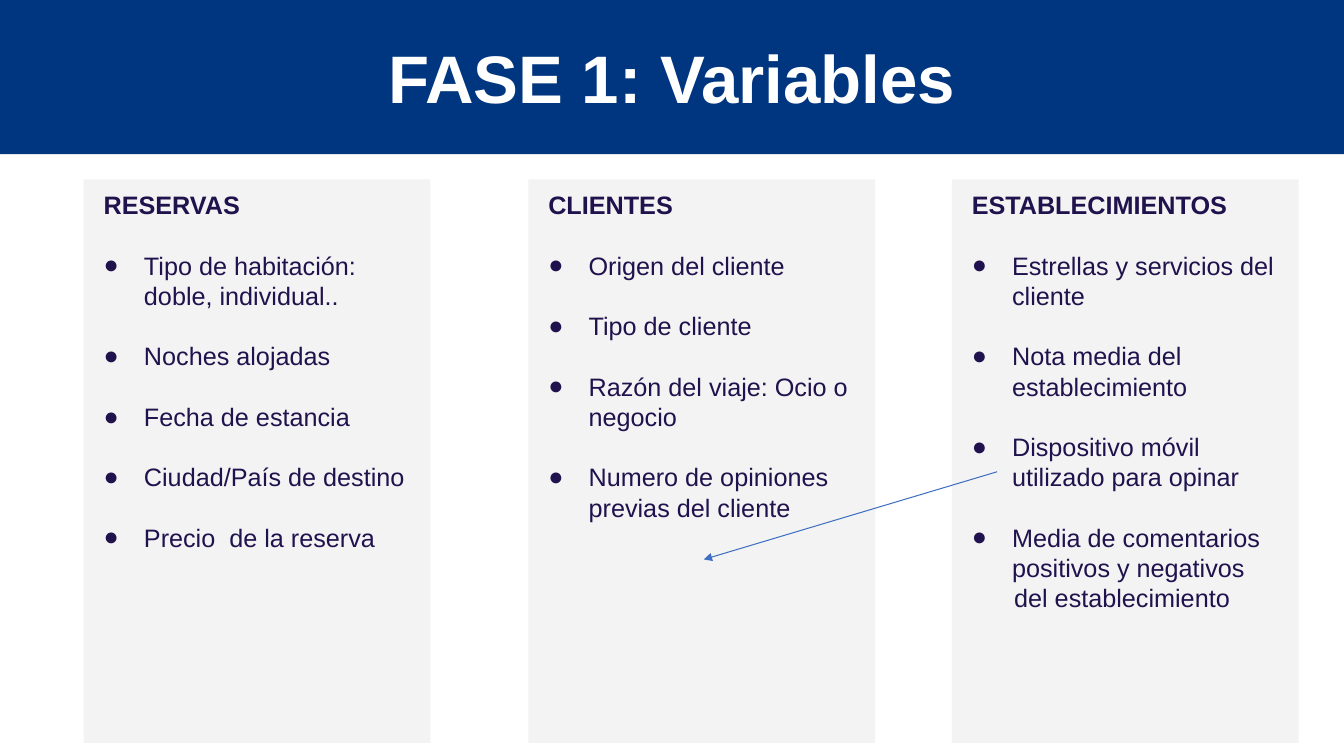
import pptx
import pptx.dml.color
import pptx.enum.shapes
import pptx.enum.text
import pptx.oxml.ns
import pptx.util
from lxml import etree

Inches = pptx.util.Inches
Pt = pptx.util.Pt
qn = pptx.oxml.ns.qn

COLORS = {"banner": "003580", "panel": "F3F3F3", "text": "20124D", "title": "FFFFFF", "arrow": "3F6FC3"}
LINE_HEIGHT = Pt(21.6)
PANEL_TOP, PANEL_WIDTH, PANEL_HEIGHT = Inches(1.78), Inches(3.44), Inches(5.59)
MARGINS = ("margin_left", "margin_top", "margin_right", "margin_bottom")

PANELS = [
    (0.83, "RESERVAS", [
        "Tipo de habitación: doble, individual..",
        "Noches alojadas",
        "Fecha de estancia",
        "Ciudad/País de destino",
        "Precio  de la reserva",
    ], None),
    (5.24, "CLIENTES", [
        "Origen del cliente",
        "Tipo de cliente",
        "Razón del viaje: Ocio o negocio",
        "Numero de opiniones previas del cliente",
    ], None),
    (9.44, "ESTABLECIMIENTOS", [
        "Estrellas y servicios del cliente",
        "Nota media del establecimiento",
        "Dispositivo móvil utilizado para opinar",
        "Media de comentarios positivos y negativos",
    ], "del establecimiento"),
]

STYLES = {
    "heading": {"left": 0.1, "indent": 0, "bold": True, "before": 0},
    "bullet": {"left": 0.5, "indent": -0.4, "bold": False, "before": LINE_HEIGHT},
    "continuation": {"left": 0.52, "indent": 0, "bold": False, "before": 0},
}


def rgb(name):
    return pptx.dml.color.RGBColor.from_string(COLORS[name])


def write_paragraph(paragraph, text, style_name):
    style = STYLES[style_name]
    properties = paragraph._p.get_or_add_pPr()
    properties.set("marL", str(Inches(style["left"])))
    properties.set("indent", str(Inches(style["indent"])))
    if style_name == "bullet":
        bullet_color = etree.SubElement(properties, qn("a:buClr"))
        etree.SubElement(bullet_color, qn("a:srgbClr"), val=COLORS["text"])
        etree.SubElement(properties, qn("a:buFont"), typeface="Arial")
        etree.SubElement(properties, qn("a:buChar"), char="●")
    paragraph.text = text
    layout = {
        "alignment": pptx.enum.text.PP_ALIGN.LEFT,
        "line_spacing": LINE_HEIGHT,
        "space_before": style["before"],
    }
    for name, value in layout.items():
        setattr(paragraph, name, value)
    for name, value in {"name": "Arial", "size": Pt(18), "bold": style["bold"]}.items():
        setattr(paragraph.font, name, value)
    paragraph.font.color.rgb = rgb("text")


presentation = pptx.Presentation()
presentation.slide_width = Inches(13.33)
presentation.slide_height = Inches(7.5)
slide = presentation.slides.add_slide(presentation.slide_layouts[5])

title = slide.shapes.title
banner_box = {"left": 0, "top": 0, "width": presentation.slide_width, "height": Inches(1.53)}
for name, value in banner_box.items():
    setattr(title, name, value)
title.fill.solid()
title.fill.fore_color.rgb = rgb("banner")
title.text_frame.text = "FASE 1: Variables"
title_frame = {
    "auto_size": pptx.enum.text.MSO_AUTO_SIZE.NONE,
    "vertical_anchor": pptx.enum.text.MSO_ANCHOR.MIDDLE,
    "word_wrap": True,
}
for name, value in title_frame.items():
    setattr(title.text_frame, name, value)
title_paragraph = title.text_frame.paragraphs[0]
title_paragraph.alignment = pptx.enum.text.PP_ALIGN.CENTER
for name, value in {"name": "Arial", "size": Pt(48), "bold": True}.items():
    setattr(title_paragraph.font, name, value)
title_paragraph.font.color.rgb = rgb("title")

for left, heading, variables, continuation in PANELS:
    panel = slide.shapes.add_shape(
        pptx.enum.shapes.MSO_SHAPE.RECTANGLE, Inches(left), PANEL_TOP, PANEL_WIDTH, PANEL_HEIGHT
    )
    panel.shadow.inherit = False
    panel.fill.solid()
    panel.fill.fore_color.rgb = rgb("panel")
    panel.line.fill.background()
    frame = panel.text_frame
    frame.word_wrap = True
    frame.vertical_anchor = pptx.enum.text.MSO_ANCHOR.TOP
    for margin in MARGINS:
        setattr(frame, margin, Inches(0.1))
    write_paragraph(frame.paragraphs[0], heading, "heading")
    for variable in variables:
        write_paragraph(frame.add_paragraph(), variable, "bullet")
    if continuation:
        write_paragraph(frame.add_paragraph(), continuation, "continuation")

arrow = slide.shapes.add_connector(
    pptx.enum.shapes.MSO_CONNECTOR.STRAIGHT, Inches(9.89), Inches(4.68), Inches(6.98), Inches(5.55)
)
arrow.line.color.rgb = rgb("arrow")
arrow.line.width = Pt(0.75)
etree.SubElement(arrow.line._get_or_add_ln(), qn("a:tailEnd"), type="triangle")
etree.SubElement(arrow._element.spPr, qn("a:effectLst"))

presentation.save("out.pptx")
